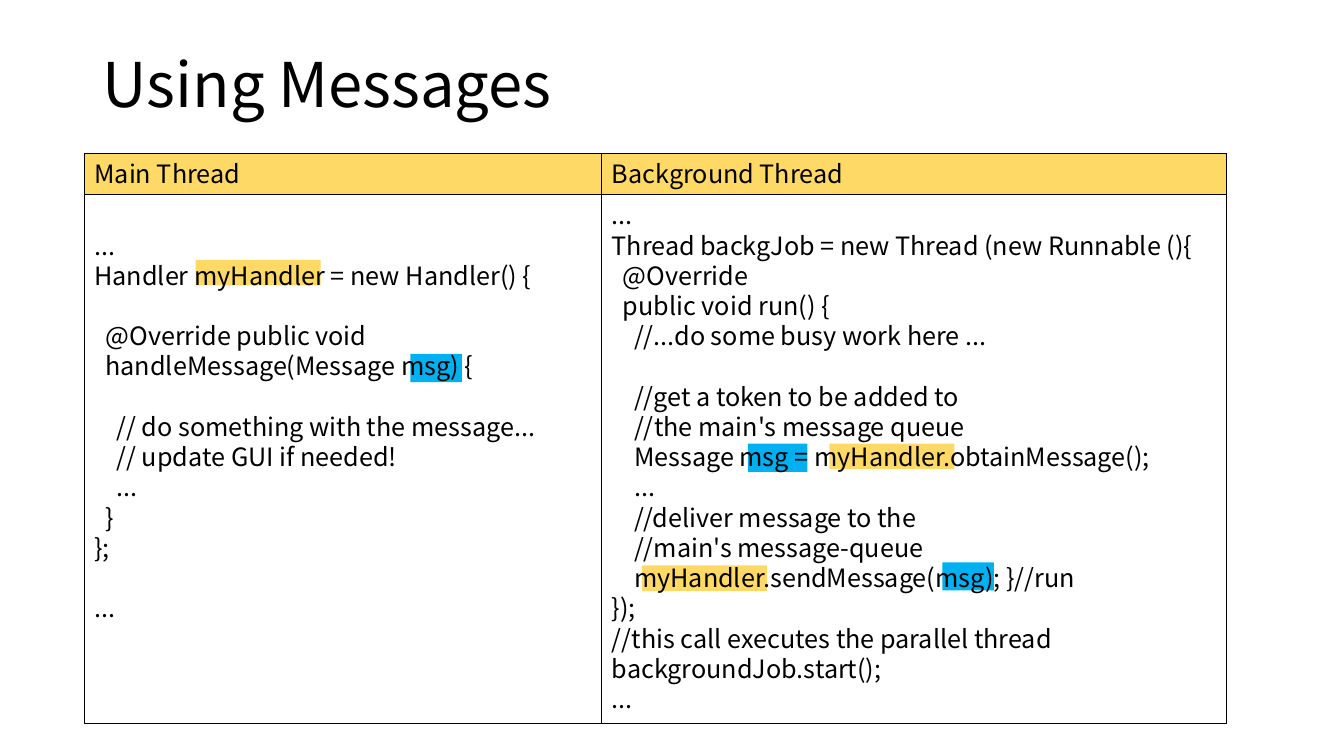
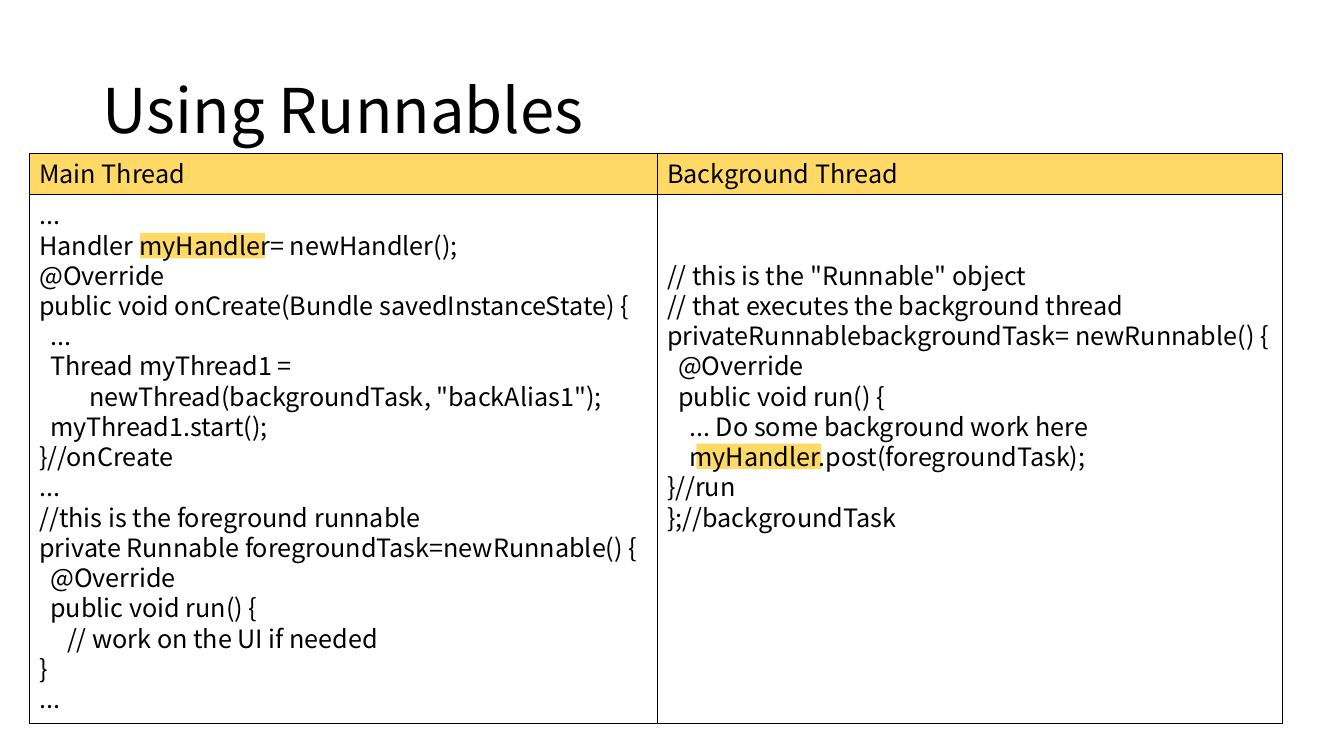
"""Build two slides that compare main-thread and background-thread code."""
from dataclasses import dataclass

from pptx import Presentation
from pptx.dml.color import RGBColor
from pptx.enum import shapes, text
from pptx.util import Cm, Pt

FONT = "Noto Sans CJK JP"
COLORS = {"handler": "FFD966", "message": "00B0F0", "ink": "000000"}
MARK_HEIGHTS = {"handler": 0.64, "message": 0.71}
HANDLER_WIDTH = 3.15
MESSAGE_WIDTH = 1.3
CODE_SIZE = 18
LINE_PITCH = Pt(21.6)
SPACE_WIDTH = Cm(0.14)
INSET_TOP = Cm(0.13)
HEADER_TOP, HEADER_HEIGHT, BODY_HEIGHT = 3.87, 1.03, 13.33


@dataclass(frozen=True)
class Mark:
    kind: str
    left: float
    top: float
    width: float = HANDLER_WIDTH


@dataclass(frozen=True)
class Column:
    heading: str
    width: float
    code: str


@dataclass(frozen=True)
class CodeSlide:
    title: str
    title_top: float
    left: float
    columns: tuple[Column, ...]
    marks: tuple[Mark, ...]


MESSAGES_MAIN = """
...
Handler myHandler = new Handler() {

  @Override public void
  handleMessage(Message msg) {

    // do something with the message...
    // update GUI if needed!
    ...
  }
};

..."""

MESSAGES_BACKGROUND = """...
Thread backgJob = new Thread (new Runnable (){
  @Override
  public void run() {
    //...do some busy work here ...

    //get a token to be added to
    //the main's message queue
    Message msg = myHandler.obtainMessage();
    ...
    //deliver message to the
    //main's message-queue
    myHandler.sendMessage(msg); }//run
});
//this call executes the parallel thread backgroundJob.start();
..."""

RUNNABLES_MAIN = """...
Handler myHandler= newHandler();
@Override
public void onCreate(Bundle savedInstanceState) {
  ...
  Thread myThread1 =
         newThread(backgroundTask, "backAlias1");
  myThread1.start();
}//onCreate
...
//this is the foreground runnable
private Runnable foregroundTask=newRunnable() {
  @Override
  public void run() {
     // work on the UI if needed
}
..."""

RUNNABLES_BACKGROUND = """

// this is the "Runnable" object
// that executes the background thread
privateRunnablebackgroundTask= newRunnable() {
  @Override
  public void run() {
    ... Do some background work here
    myHandler.post(foregroundTask);
}//run
};//backgroundTask"""

SLIDES = (
    CodeSlide(
        "Using Messages", 0.36, 2.13,
        (Column("Main Thread", 13.04, MESSAGES_MAIN),
         Column("Background Thread", 15.75, MESSAGES_BACKGROUND)),
        (Mark("message", 10.34, 8.92, MESSAGE_WIDTH),
         Mark("message", 23.75, 14.17, MESSAGE_WIDTH),
         Mark("message", 18.85, 11.18, 1.5),
         Mark("handler", 16.18, 14.25),
         Mark("handler", 20.9, 11.18),
         Mark("handler", 4.93, 6.55)),
    ),
    CodeSlide(
        "Using Runnables", 1.02, 0.74,
        (Column("Main Thread", 15.82, RUNNABLES_MAIN),
         Column("Background Thread", 15.75, RUNNABLES_BACKGROUND)),
        (Mark("handler", 17.55, 11.18), Mark("handler", 3.53, 5.87)),
    ),
)


def color(name: str) -> RGBColor:
    return RGBColor.from_string(COLORS[name])


def format_runs(paragraph, size: float) -> None:
    for run in paragraph.runs:
        run.font.name = FONT
        run.font.size = Pt(size)
        run.font.color.rgb = color("ink")


def add_rectangle(slide, left: float, top: float, width: float, height: float,
                  fill: str = "", outlined: bool = False):
    shape = slide.shapes.add_shape(
        shapes.MSO_SHAPE.RECTANGLE, Cm(left), Cm(top), Cm(width), Cm(height))
    shape.shadow.inherit = False
    if fill:
        shape.fill.solid()
        shape.fill.fore_color.rgb = color(fill)
    else:
        shape.fill.background()
    if outlined:
        shape.line.color.rgb = color("ink")
        shape.line.width = Pt(0.75)
    else:
        shape.line.fill.background()
    return shape


def add_mark(slide, mark: Mark) -> None:
    add_rectangle(
        slide, mark.left, mark.top, mark.width, MARK_HEIGHTS[mark.kind], mark.kind)


def write_code(shape, code: str) -> None:
    """Turn blank lines into spacing and leading spaces into indents."""
    frame = shape.text_frame
    frame.word_wrap = True
    frame.vertical_anchor = text.MSO_ANCHOR.TOP
    lines = code.lstrip("\n")
    frame.margin_top = INSET_TOP + (len(code) - len(lines)) * LINE_PITCH
    paragraph, blanks = frame.paragraphs[0], 0
    for number, line in enumerate(lines.split("\n")):
        if not line:
            blanks += 1
            continue
        if number:
            paragraph = frame.add_paragraph()
        paragraph.text = line.lstrip()
        paragraph.alignment = text.PP_ALIGN.LEFT
        paragraph.line_spacing = LINE_PITCH
        paragraph.space_before = blanks * LINE_PITCH
        indent = (len(line) - len(line.lstrip())) * SPACE_WIDTH
        paragraph._p.get_or_add_pPr().set("marL", str(indent))
        format_runs(paragraph, CODE_SIZE)
        blanks = 0


def add_columns(slide, left: float, columns: tuple[Column, ...]) -> None:
    for column in columns:
        header = add_rectangle(
            slide, left, HEADER_TOP, column.width, HEADER_HEIGHT, "handler", True)
        write_code(header, column.heading)
        body = add_rectangle(slide, left, HEADER_TOP + HEADER_HEIGHT,
                             column.width, BODY_HEIGHT, outlined=True)
        write_code(body, column.code)
        left += column.width


def set_title(slide, title: str, top: float) -> None:
    shape = slide.shapes.title
    shape.left, shape.top, shape.width, shape.height = (
        Cm(2.33), Cm(top), Cm(29.21), Cm(3.68))
    frame = shape.text_frame
    frame.text = title
    frame.vertical_anchor = text.MSO_ANCHOR.MIDDLE
    paragraph = frame.paragraphs[0]
    paragraph.alignment = text.PP_ALIGN.LEFT
    paragraph.line_spacing = 0.9
    format_runs(paragraph, 44)


def main() -> None:
    presentation = Presentation()
    presentation.slide_width, presentation.slide_height = Cm(33.87), Cm(19.05)
    for content in SLIDES:
        slide = presentation.slides.add_slide(presentation.slide_layouts[5])
        set_title(slide, content.title, content.title_top)
        for mark in content.marks:
            add_mark(slide, mark)
        add_columns(slide, content.left, content.columns)
    presentation.save("out.pptx")


if __name__ == "__main__":
    main()
